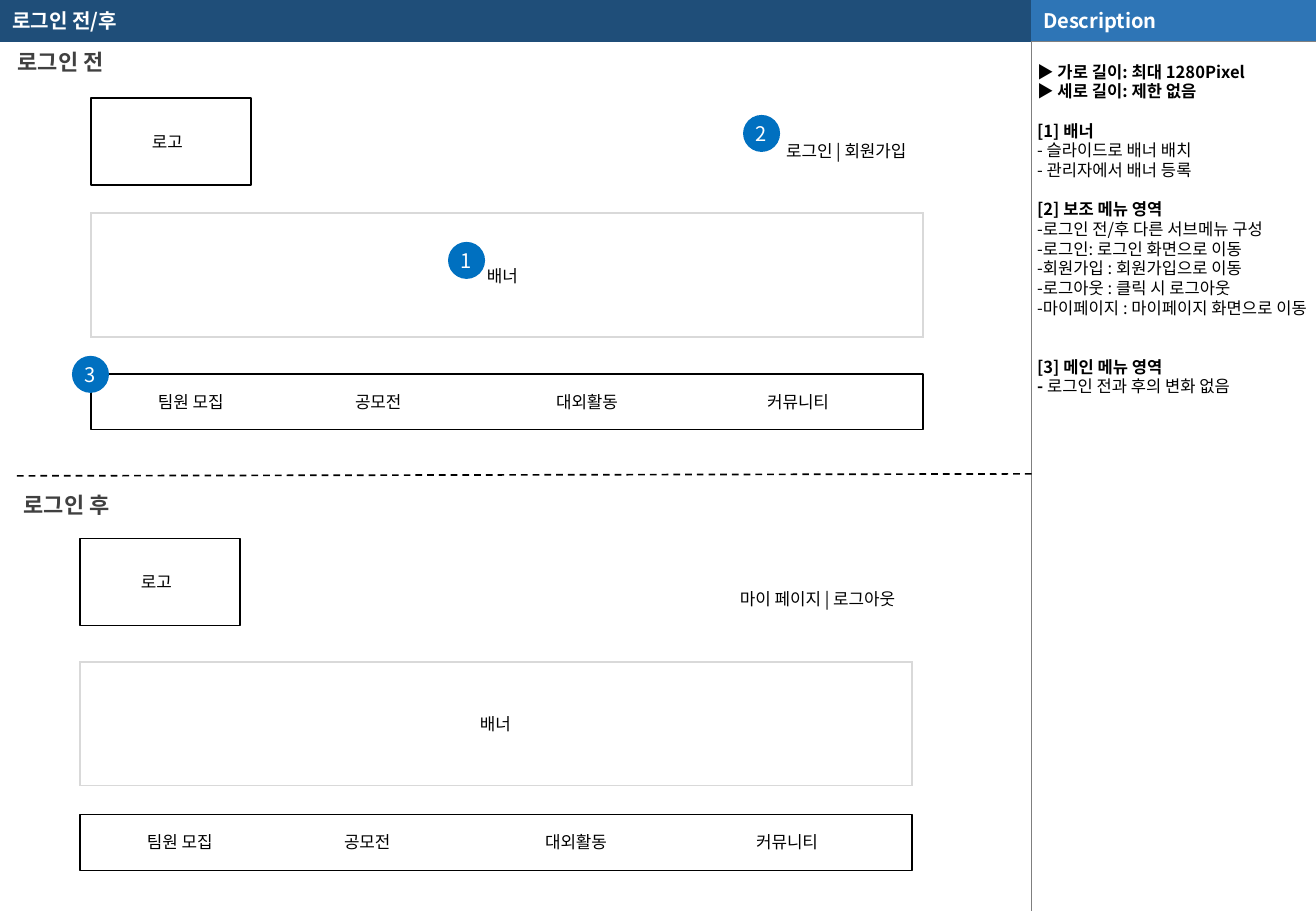
from dataclasses import dataclass
from pptx import Presentation
from pptx.dml.color import RGBColor
from pptx.enum.dml import MSO_LINE as Dash
from pptx.enum.shapes import MSO_CONNECTOR as Link, MSO_SHAPE as Form
from pptx.enum.text import MSO_ANCHOR as Anchor, MSO_AUTO_SIZE as Fit, PP_ALIGN as Align
from pptx.oxml import parse_xml
from pptx.oxml.ns import nsdecls, qn
from pptx.util import Inches, Pt

SCALE = 7526  # EMU per pixel


@dataclass(frozen=True)
class Theme:
    """Font, colours and type sizes of the slide."""
    font: str = "Noto Sans CJK KR"
    navy: str = "1F4E79"
    blue: str = "2E75B6"
    badge: str = "0070C0"
    white: str = "FFFFFF"
    black: str = "000000"
    dark: str = "404040"
    gray: str = "808080"
    rule: str = "7F7F7F"
    pale: str = "D9D9D9"
    bar: float = 11.9
    head: float = 13
    body: float = 10
    note: float = 9.8
    lead: float = 1.19


def px(*nums):
    """Turn pixels into EMU."""
    return [round(n * SCALE) for n in nums]


def rgb(code):
    """Make a colour from its hex code."""
    return RGBColor.from_string(code)


class Sheet:
    """Holds the theme and the current slide."""

    def __init__(self, slide, theme):
        """Keep the slide and its theme."""
        self.slide, self.theme = slide, theme
        self.shapes = slide.shapes

    def run(self, para, text, size, color, bold=False):
        """Add one styled run."""
        run = para.add_run()
        run.text = text
        font = run.font
        font.name, font.size, font.bold = self.theme.font, Pt(size), bold
        font.color.rgb = rgb(color)
        run._r.rPr.find(qn("a:latin")).addnext(
            parse_xml(f'<a:ea {nsdecls("a")} typeface="{self.theme.font}"/>'))

    def para(self, para, runs, size, color, align=Align.LEFT, gap=0):
        """Fill a paragraph with (text, bold) runs, gap lines below the last."""
        lead = Pt(size * self.theme.lead)
        para.alignment, para.line_spacing = align, lead
        para.space_before, para.space_after = gap * lead, Pt(0)
        for text, bold in runs:
            self.run(para, text, size, color, bold)

    def frame(self, shape, inset=None, anchor=Anchor.MIDDLE):
        """Set up a text frame and return it."""
        frame = shape.text_frame
        frame.word_wrap, frame.auto_size = True, Fit.NONE
        frame.vertical_anchor = anchor
        if inset:
            (frame.margin_left, frame.margin_top,
             frame.margin_right, frame.margin_bottom) = px(*inset)
        return frame

    def title(self, text, box):
        """Place the title as a filled bar."""
        shape = self.shapes.title
        shape.left, shape.top, shape.width, shape.height = px(*box)
        shape.fill.solid()
        shape.fill.fore_color.rgb = rgb(self.theme.navy)
        self.para(self.frame(shape).paragraphs[0], [(text, True)],
                  self.theme.bar, self.theme.white)

    def label(self, text, box, size=None, color=None, bold=False, align=Align.LEFT):
        """Add a one-line text box."""
        frame = self.frame(self.shapes.add_textbox(*px(*box)))
        self.para(frame.paragraphs[0], [(text, bold)], size or self.theme.body,
                  color or self.theme.black, align)

    def shape(self, box, fill=None, line=None, form=Form.RECTANGLE):
        """Add a plain shape."""
        shape = self.shapes.add_shape(form, *px(*box))
        shape.shadow.inherit = False
        if fill:
            shape.fill.solid()
            shape.fill.fore_color.rgb = rgb(fill)
        else:
            shape.fill.background()
        if line:
            shape.line.color.rgb = rgb(line)
            shape.line.width = Pt(0.75)
        else:
            shape.line.fill.background()
        return shape

    def badge(self, text, x, y):
        """Add a numbered circle."""
        shape = self.shape((x, y, 37, 37), self.theme.badge, form=Form.OVAL)
        frame = self.frame(shape, (0, 0, 0, 0))
        self.para(frame.paragraphs[0], [(text, False)], self.theme.bar,
                  self.theme.white, Align.CENTER)

    def line(self, ends, color, width, dash=None):
        """Add a straight line."""
        line = self.shapes.add_connector(Link.STRAIGHT, *px(*ends))
        line.line.color.rgb = rgb(color)
        line.line.width = Pt(width)
        if dash:
            line.line.dash_style = dash
        line._element.spPr.append(parse_xml(f'<a:effectLst {nsdecls("a")}/>'))

    def table(self, box):
        """Add an empty one-cell table with pale borders."""
        table = self.shapes.add_table(1, 1, *px(*box)).table
        table.first_row = table.horz_banding = False
        cell = table.cell(0, 0)
        cell.fill.background()
        props = cell._tc.get_or_add_tcPr()
        for spot, side in enumerate(("lnL", "lnR", "lnT", "lnB")):
            props.insert(spot, parse_xml(
                f'<a:{side} {nsdecls("a")} w="12700"><a:solidFill>'
                f'<a:srgbClr val="{self.theme.pale}"/></a:solidFill></a:{side}>'))

    def notes(self, box, rows):
        """Add the description column from (gap, runs) rows."""
        frame = self.frame(self.shapes.add_textbox(*px(*box)), (5, 20, 5, 0), Anchor.TOP)
        for spot, (gap, runs) in enumerate(rows):
            para = frame.add_paragraph() if spot else frame.paragraphs[0]
            self.para(para, runs, self.theme.note, self.theme.black, gap=gap)

    def page(self, x, logo, banner, menu, mark):
        """Draw one page mock-up from its left edge and row tops."""
        black = self.theme.black
        self.shape((x, logo, 160, 87), line=black)
        self.label("로고", (x + 49, logo + 27, 60, 33))
        self.table((x, banner, 832, 124))
        self.label("배너", (mark, banner + 46, 60, 33))
        self.shape((x, menu, 832, 56), line=black)
        for text, left in MENU:
            self.label(text, (x + left, menu + 11, 100, 33))


MENU = [("팀원 모집", 55), ("공모전", 252), ("대외활동", 453), ("커뮤니티", 664)]
NOTES = [
    (0, [("▶ 가로 길이: 최대 1280Pixel", True)]),
    (0, [("▶ 세로 길이: 제한 없음", True)]),
    (1, [("[1] 배너", True)]),
    (0, [("- 슬라이드로 배너 배치", False)]),
    (0, [("- 관리자에서 배너 등록", False)]),
    (1, [("[2] 보조 메뉴 영역", True)]),
    (0, [("-로그인 전/후 다른 서브메뉴 구성", False)]),
    (0, [("-로그인: 로그인 화면으로 이동", False)]),
    (0, [("-회원가입 : 회원가입으로 이동", False)]),
    (0, [("-로그아웃 : 클릭 시 로그아웃", False)]),
    (0, [("-마이페이지 : 마이페이지 화면으로 이동", False)]),
    (2, [("[3] 메인 메뉴 영역", True)]),
    (0, [("- ", True), ("로그인 전과 후의 변화 없음", False)]),
]

deck = Presentation()
deck.slide_width, deck.slide_height = Inches(10.83), Inches(7.5)
theme = Theme()
sheet = Sheet(deck.slides.add_slide(deck.slide_layouts[5]), theme)

sheet.title("로그인 전/후", (0, 0, 1031, 42))
sheet.shape((1031, 0, 285, 42), theme.gray)
sheet.line((1031, 0, 1031, 42), theme.white, 0.25)
sheet.line((1031, 41, 1031, 911), theme.rule, 0.25)
sheet.shape((1031, 0, 285, 41), theme.blue)
sheet.label("Description", (1031, 0, 285, 41), theme.bar, theme.white, True)
sheet.notes((1032, 42, 285, 868), NOTES)

for text, x, y in (("로그인 전", 0, 42), ("로그인 후", 6, 485)):
    sheet.label(text, (x, y, 121, 39), theme.head, theme.dark, True, Align.CENTER)
sheet.line((17, 476, 1032, 474), theme.black, 1, Dash.DASH)

sheet.page(91, logo=98, banner=213, menu=374, mark=475)
sheet.label("로그인 | 회원가입", (774, 134, 165, 33))
sheet.page(80, logo=539, banner=662, menu=815, mark=468)
sheet.label("마이 페이지 | 로그아웃", (728, 583, 205, 33))

for text, x, y in (("1", 448, 242), ("2", 743, 115), ("3", 72, 356)):
    sheet.badge(text, x, y)

deck.save("out.pptx")
